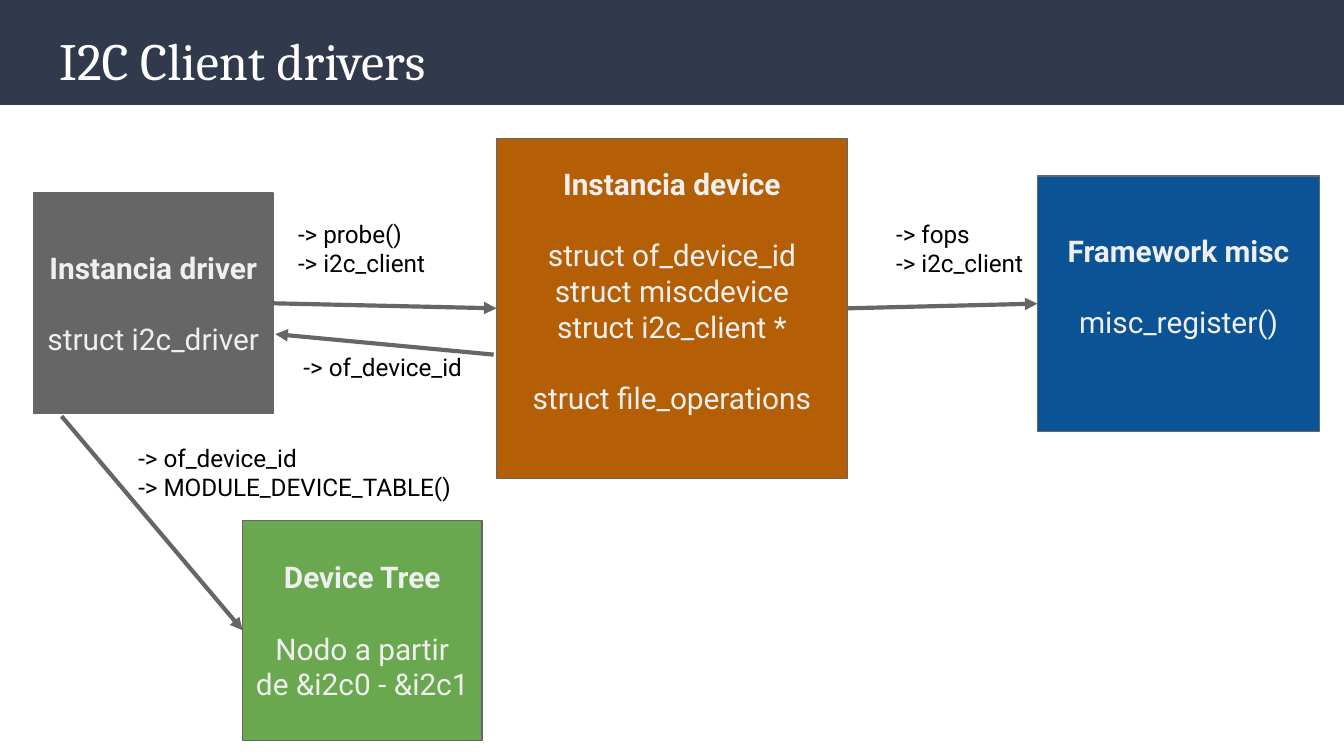
"""Build the slide on the structures behind I2C client drivers."""
from pptx import Presentation
from pptx.dml.color import RGBColor
from pptx.enum.shapes import MSO_CONNECTOR as Connector, MSO_SHAPE as Shape
from pptx.enum.text import MSO_ANCHOR as Anchor, PP_ALIGN as Align
from pptx.oxml.ns import qn
from pptx.util import Pt
from lxml.etree import SubElement

TOP, LEFT, BOTTOM, RIGHT = range(4)


def color(value):
    return RGBColor.from_string(value)


class SlideBuilder:
    heading_font, body_font = "Cambria", "Roboto"
    navy, gray, pale, white, black = "31394D", "666666", "EFEFEF", "FFFFFF", "000000"
    inset, box_size, label_size, blank_line = 7.2, 16, 13, 19

    def __init__(self, presentation):
        self.slide = presentation.slides.add_slide(presentation.slide_layouts[5])

    def format_frame(self, frame, anchor, bottom=inset):
        frame.word_wrap = True
        frame.vertical_anchor = anchor
        frame.margin_left = frame.margin_right = frame.margin_top = Pt(self.inset)
        frame.margin_bottom = Pt(bottom)

    def format_paragraph(self, paragraph, font, size, text_color, align, bold=False):
        paragraph.alignment = align
        for run in paragraph.runs:
            run.font.name = font
            run.font.size = Pt(size)
            run.font.bold = bold
            run.font.color.rgb = color(text_color)

    def rectangle(self, bounds, fill, line=None):
        shape = self.slide.shapes.add_shape(Shape.RECTANGLE, *map(Pt, bounds))
        shape.shadow.inherit = False
        shape.fill.solid()
        shape.fill.fore_color.rgb = color(fill)
        if line:
            shape.line.color.rgb = color(line)
            shape.line.width = Pt(0.75)
        else:
            shape.line.fill.background()
        return shape

    def title(self, text, bounds, band_bounds):
        title = self.slide.shapes.title
        title.left, title.top, title.width, title.height = map(Pt, bounds)
        title.text_frame.text = text
        self.format_frame(title.text_frame, Anchor.MIDDLE)
        self.format_paragraph(title.text_frame.paragraphs[0], self.heading_font, 28,
                              self.white, Align.LEFT)
        band = self.rectangle(band_bounds, self.navy)
        title._element.addprevious(band._element)

    def box(self, bounds, fill, heading, *groups, blank_end=False):
        shape = self.rectangle(bounds, fill, self.gray)
        frame = shape.text_frame
        self.format_frame(frame, Anchor.MIDDLE,
                          self.inset + self.blank_line * blank_end)
        frame.text = "\n".join([heading, *(line for group in groups for line in group)])
        group_starts = {group[0] for group in groups}
        for index, paragraph in enumerate(frame.paragraphs):
            self.format_paragraph(paragraph, self.body_font, self.box_size, self.pale,
                                  Align.CENTER, bold=index == 0)
            if paragraph.text in group_starts:
                paragraph.space_before = Pt(self.blank_line)
        return shape

    def label(self, bounds, *lines):
        frame = self.slide.shapes.add_textbox(*map(Pt, bounds)).text_frame
        self.format_frame(frame, Anchor.TOP)
        frame.text = "\n".join(lines)
        for paragraph in frame.paragraphs:
            self.format_paragraph(paragraph, self.body_font, self.label_size,
                                  self.black, Align.LEFT)

    def arrow(self, points, begin=None, end=None):
        connector = self.slide.shapes.add_connector(Connector.STRAIGHT, *map(Pt, points))
        if begin:
            connector.begin_connect(*begin)
        if end:
            connector.end_connect(*end)
        connector.line.color.rgb = color(self.gray)
        connector.line.width = Pt(2.25)
        SubElement(connector.line._get_or_add_ln(), qn("a:tailEnd"), type="triangle")
        SubElement(connector._element.spPr, qn("a:effectLst"))


def main():
    presentation = Presentation()
    presentation.slide_width, presentation.slide_height = Pt(720), Pt(405)
    builder = SlideBuilder(presentation)
    builder.title("I2C Client drivers", (24.5, 7.2, 671, 49), (0, 0, 720, 56.2))

    driver = builder.box((18, 103.5, 128.2, 118), "666666", "Instancia driver",
                         ["struct i2c_driver"])
    framework = builder.box((555.8, 94.3, 151.2, 136.8), "0B5394", "Framework misc",
                            ["misc_register()"], blank_end=True)
    device = builder.box((266, 74.2, 188, 182), "B45F06", "Instancia device",
                         ["struct of_device_id", "struct miscdevice",
                          "struct i2c_client *"],
                         ["struct file_operations"], blank_end=True)
    device_tree = builder.box((130, 278.7, 128.2, 118), "6AA84F", "Device Tree",
                              ["Nodo a partir de &i2c0 - &i2c1"])

    builder.arrow((146.2, 162.5, 266, 165.2), (driver, RIGHT), (device, LEFT))
    builder.arrow((454, 165.2, 555.8, 162.7), (device, RIGHT), (framework, LEFT))
    builder.arrow((33, 223, 130, 337.7), end=(device_tree, LEFT))
    builder.arrow((264.5, 190, 147.5, 179))

    builder.label((473, 110, 83, 42.5), "-> fops", "-> i2c_client")
    builder.label((152.6, 110, 83, 42.5), "-> probe()", "-> i2c_client")
    builder.label((155.5, 181.4, 102, 42.5), "-> of_device_id")
    builder.label((67, 230.2, 197, 42.5), "-> of_device_id", "-> MODULE_DEVICE_TABLE()")
    presentation.save("out.pptx")


if __name__ == "__main__":
    main()
